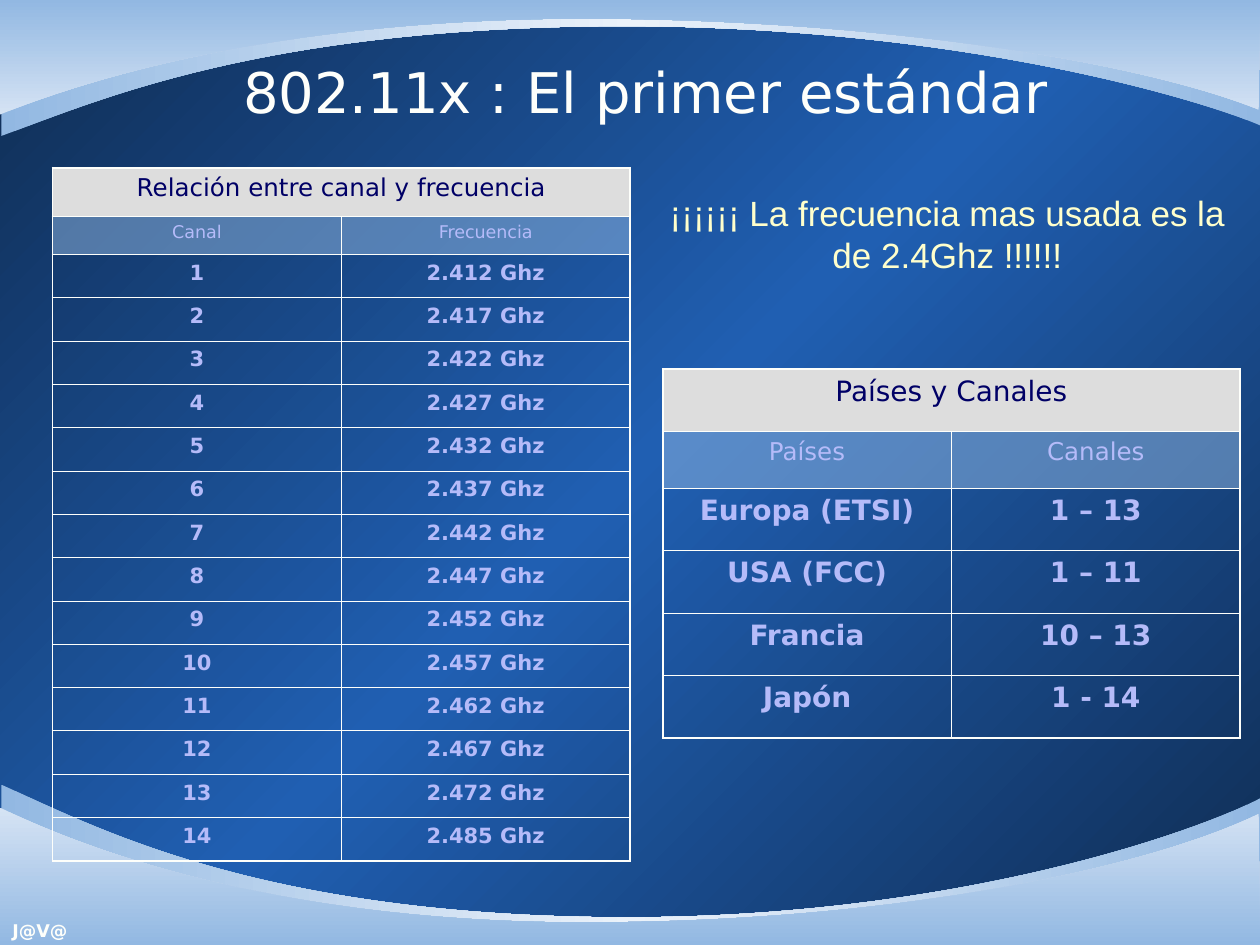
import copy
import pptx
import pptx.dml.color
import pptx.enum.text
import pptx.oxml
import pptx.oxml.ns
import pptx.util

Cm, Pt = pptx.util.Cm, pptx.util.Pt
qn = pptx.oxml.ns.qn
MID = pptx.enum.text.PP_ALIGN.CENTER
SANS = "DejaVu Sans"
WHITE, NAVY, LILAC, CREAM = "FEFFFB", "000066", "B5BBF9", "FFFFCC"
GREY, SKY, MIST, ICE = "DDDDDD", "92B8E2", "D5E3F4", "EBF2FA"
DARK, BLUE = "0F2C52", "205FB2"

TITLE = "802.11x : El primer estándar"
NOTE = "¡¡¡¡¡¡ La frecuencia mas usada es la de 2.4Ghz !!!!!!"
MARK = "J@V@"

FREQS = ["2.412", "2.417", "2.422", "2.427", "2.432", "2.437", "2.442",
         "2.447", "2.452", "2.457", "2.462", "2.467", "2.472", "2.485"]

TABLES = [
    {"head": "Relación entre canal y frecuencia",
     "cols": ("Canal", "Frecuencia"),
     "body": [(str(n), f + " Ghz") for n, f in enumerate(FREQS, 1)],
     "box": (1.06, 3.38, 11.64, 13.98), "tops": (0.98, 0.77),
     "size": (14, 10, 12)},
    {"head": "Países y Canales",
     "cols": ("Países", "Canales"),
     "body": [("Europa (ETSI)", "1 – 13"), ("USA (FCC)", "1 – 11"),
              ("Francia", "10 – 13"), ("Japón", "1 - 14")],
     "box": (13.36, 7.44, 11.64, 7.44), "tops": (1.25, 1.15),
     "size": (16, 14, 16)},
]

SHEEN = [(0, SKY), (50, ICE), (100, SKY)]
FADE = [(0, MIST), (100, SKY)]
WAVES = [
    {"base": 19.05, "stops": SHEEN, "turn": 180, "curve": [
        (0.03, 15.82), (1.9, 16.66), (5.08, 18.39), (12.07, 18.49),
        (19.08, 18.59), (24.16, 16.76), (25.43, 16.08)]},
    {"base": 19.05, "stops": FADE, "turn": 270, "curve": [
        (0, 16.28), (2.49, 17.5), (6.65, 18.69), (12.47, 18.59),
        (18.26, 18.52), (23.14, 17.5), (25.37, 16.41)]},
    {"base": 0.08, "stops": SHEEN, "turn": 180, "curve": [
        (0.03, 2.74), (1.9, 2.06), (5.08, 0.61), (12.07, 0.53),
        (19.08, 0.46), (24.16, 1.98), (25.43, 2.54)]},
    {"base": 0, "stops": FADE, "turn": 90, "curve": [
        (0, 2.31), (2.49, 1.3), (6.65, 0.3), (12.47, 0.38),
        (18.26, 0.46), (23.14, 1.3), (25.37, 2.21)]},
]


def tint(color, hue):
    color.rgb = pptx.dml.color.RGBColor.from_string(hue)


def shade(node, fill, stops, turn):
    fill.gradient()
    fill.gradient_angle = turn
    group = next(node.iter(qn("a:gsLst")))
    while len(group) < len(stops):
        group.append(copy.deepcopy(group[0]))
    for stop, (spot, hue) in zip(fill.gradient_stops, stops):
        stop.position = spot / 100
        tint(stop.color, hue)


def bend(node, count):
    legs = list(node.iter(qn("a:lnTo")))[:count]
    for k in range(0, count, 3):
        arc = pptx.oxml.parse_xml(
            f'<a:cubicBezTo {pptx.oxml.ns.nsdecls("a")}/>')
        legs[k].addprevious(arc)
        for leg in legs[k:k + 3]:
            arc.append(leg[0])
            leg.getparent().remove(leg)


def wave(slide, base, stops, turn, curve):
    ends = [(25.4, base), (curve[0][0], base)]
    spots = [(Cm(x), Cm(y)) for x, y in curve + ends]
    pen = slide.shapes.build_freeform(*spots[0])
    pen.add_line_segments(spots[1:], close=True)
    shape = pen.convert_to_shape()
    bend(shape.element, len(curve) - 1)
    shape.shadow.inherit = False
    shape.line.fill.background()
    shade(shape.element, shape.fill, stops, turn)


def write(frame, text, hue, form, gap=0, align=MID):
    frame.word_wrap = True
    para = frame.paragraphs[0]
    para.alignment = align
    para.space_before = Pt(gap)
    run = para.add_run()
    run.text = text
    for key, val in form.items():
        setattr(run.font, key, val)
    tint(run.font.color, hue)


def place(shape, box):
    for key, val in zip(("left", "top", "width", "height"), box):
        setattr(shape, key, Cm(val))


def edge(cell, sides):
    props = cell._tc.get_or_add_tcPr()
    for side, wide in sides.items():
        props.append(pptx.oxml.parse_xml(
            f'<a:ln{side} {pptx.oxml.ns.nsdecls("a")} w="{Pt(wide)}">'
            f'<a:solidFill><a:srgbClr val="{WHITE}"/></a:solidFill></a:ln{side}>'))


def coat(cell, hue, clear=None):
    cell.fill.solid()
    tint(cell.fill.fore_color, hue)
    if clear:
        color = next(cell._tc.tcPr.find(qn("a:solidFill")).iter(qn("a:srgbClr")))
        color.append(pptx.oxml.parse_xml(
            f'<a:alpha {pptx.oxml.ns.nsdecls("a")} val="{clear * 1000}"/>'))


def grid(slide, head, cols, body, box, tops, size):
    rows = [(head, ""), cols] + body
    last = len(rows) - 1
    highs = list(tops) + [(box[3] - sum(tops)) / len(body)] * len(body)
    table = slide.shapes.add_table(len(rows), 2, *map(Cm, box)).table
    table.first_row = table.horz_banding = False
    for r, row in enumerate(rows):
        table.rows[r].height = Cm(highs[r])
        kind = min(r, 2)
        for c, text in enumerate(row):
            cell = table.cell(r, c)
            outer = {"L": c == 0, "R": c == 1 or r == 0,
                     "T": r == 0, "B": r == last}
            edge(cell, {s: 1.08 if out else 0.45 for s, out in outer.items()})
            if kind == 0:
                coat(cell, GREY)
            elif kind == 1:
                coat(cell, SKY, 50)
            else:
                cell.fill.background()
            if text:
                form = {"name": SANS, "size": Pt(size[kind]), "bold": kind == 2}
                write(cell.text_frame, text, LILAC if kind else NAVY, form,
                      size[kind] / 4)
    table.cell(0, 0).merge(table.cell(0, 1))


def label(slide, box, *args, **more):
    shape = slide.shapes.add_textbox(*map(Cm, box))
    write(shape.text_frame, *args, **more)


def main():
    deck = pptx.Presentation()
    deck.slide_width, deck.slide_height = Cm(25.4), Cm(19.05)
    slide = deck.slides.add_slide(deck.slide_layouts[5])
    shade(slide.element, slide.background.fill,
          [(0, DARK), (50, BLUE), (100, DARK)], 135)
    for item in WAVES:
        wave(slide, **item)
    label(slide, (0, 18.42, 8.69, 0.63), MARK, WHITE,
          {"name": SANS, "size": Pt(10), "bold": True},
          align=pptx.enum.text.PP_ALIGN.LEFT)
    title = slide.shapes.title
    place(title, (2.64, 1.05, 20.76, 1.58))
    title.text_frame.vertical_anchor = pptx.enum.text.MSO_ANCHOR.MIDDLE
    title.text_frame.auto_size = pptx.enum.text.MSO_AUTO_SIZE.NONE
    write(title.text_frame, TITLE, WHITE, {"name": SANS, "size": Pt(32)})
    slide.shapes.element.append(title.element)
    for item in TABLES:
        grid(slide, **item)
    label(slide, (12.8, 3.73, 12.6, 1.96), NOTE, CREAM,
          {"name": "Arial", "size": Pt(20)}, 12.5)
    deck.save("out.pptx")


if __name__ == "__main__":
    main()
